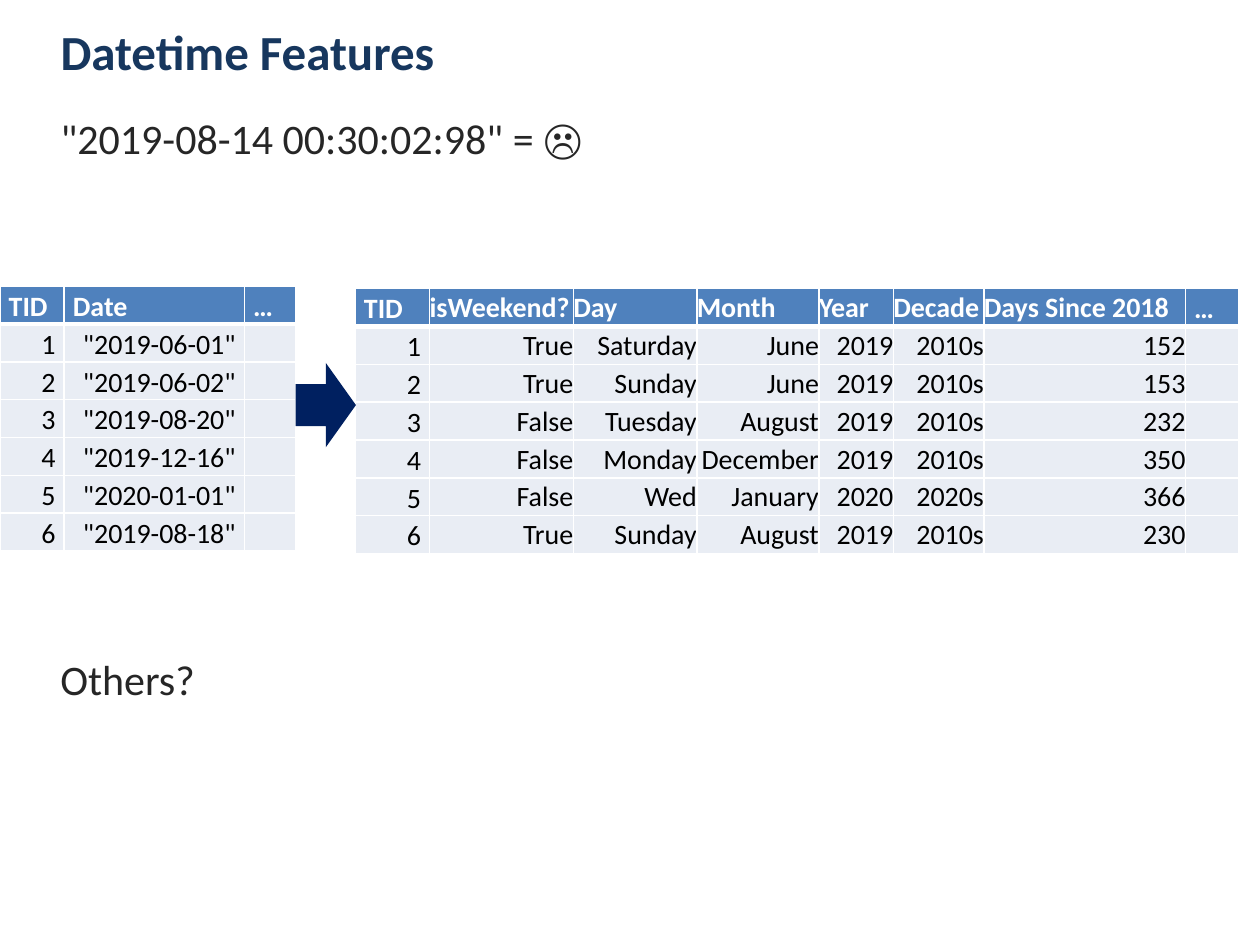
from lxml import etree
from pptx import Presentation
from pptx.dml.color import RGBColor
from pptx.enum.shapes import MSO_SHAPE
from pptx.enum.text import MSO_ANCHOR, MSO_AUTO_SIZE, PP_ALIGN
from pptx.oxml.ns import qn
from pptx.util import Pt

RIGHT_ARROW = MSO_SHAPE.RIGHT_ARROW
MIDDLE, TOP = MSO_ANCHOR.MIDDLE, MSO_ANCHOR.TOP
LEFT, RIGHT = PP_ALIGN.LEFT, PP_ALIGN.RIGHT
NO_AUTOFIT = MSO_AUTO_SIZE.NONE

WHITE = RGBColor(0xFF, 0xFF, 0xFF)
BLACK = RGBColor(0x00, 0x00, 0x00)
NAVY = RGBColor(0x17, 0x37, 0x5E)
CHARCOAL = RGBColor(0x26, 0x26, 0x26)
HEADER_BLUE = RGBColor(0x4F, 0x81, 0xBD)
ROW_GREY = RGBColor(0xE9, 0xED, 0xF4)
ARROW_BLUE = RGBColor(0x00, 0x20, 0x60)

DATES = [
    ("TID", "Date", "…"),
    ("1", '"2019-06-01"', ""),
    ("2", '"2019-06-02"', ""),
    ("3", '"2019-08-20"', ""),
    ("4", '"2019-12-16"', ""),
    ("5", '"2020-01-01"', ""),
    ("6", '"2019-08-18"', ""),
]
FEATURES = [
    ("TID", "isWeekend?", "Day", "Month", "Year", "Decade", "Days Since 2018", "…"),
    ("1", "True", "Saturday", "June", "2019", "2010s", "152", ""),
    ("2", "True", "Sunday", "June", "2019", "2010s", "153", ""),
    ("3", "False", "Tuesday", "August", "2019", "2010s", "232", ""),
    ("4", "False", "Monday", "December", "2019", "2010s", "350", ""),
    ("5", "False", "Wed", "January", "2020", "2020s", "366", ""),
    ("6", "True", "Sunday", "August", "2019", "2010s", "230", ""),
]


class SlideBuilder:
    """Draws styled elements on the current slide."""

    font_name = "Calibri"
    table_size = 16
    row_height = 20.4

    def __init__(self, slide):
        self.slide = slide

    def add_text(self, paragraph, text, size, color, bold=False, align=LEFT):
        paragraph.alignment = align
        run = paragraph.add_run()
        run.text = text
        run.font.name = self.font_name
        run.font.size = Pt(size)
        run.font.bold = bold
        run.font.color.rgb = color

    def place(self, shape, left, top, width, height):
        shape.left, shape.top = Pt(left), Pt(top)
        shape.width, shape.height = Pt(width), Pt(height)
        shape.text_frame.word_wrap = True
        shape.text_frame.auto_size = NO_AUTOFIT

    def title(self, text, *box):
        shape = self.slide.shapes.title
        self.place(shape, *box)
        shape.text_frame.vertical_anchor = MIDDLE
        self.add_text(shape.text_frame.paragraphs[0], text, 28, NAVY, bold=True)

    def body(self, text, *box):
        shape = self.slide.placeholders[1]
        self.place(shape, *box)
        paragraph = shape.text_frame.paragraphs[0]
        properties = paragraph._p.get_or_add_pPr()
        properties.set("marL", "0")
        properties.set("indent", "0")
        etree.SubElement(properties, qn("a:buNone"))
        paragraph.space_before = Pt(0)
        self.add_text(paragraph, text, 24, CHARCOAL)

    def text_box(self, text, *box):
        shape = self.slide.shapes.add_textbox(*map(Pt, box))
        self.place(shape, *box)
        self.add_text(shape.text_frame.paragraphs[0], text, 24, CHARCOAL)

    def arrow(self, *box):
        shape = self.slide.shapes.add_shape(RIGHT_ARROW, *map(Pt, box))
        shape.shadow.inherit = False
        shape.fill.solid()
        shape.fill.fore_color.rgb = ARROW_BLUE
        shape.line.fill.background()

    def table(self, rows, left, top, widths, padded, centred):
        frame = self.slide.shapes.add_table(
            len(rows), len(widths), Pt(left), Pt(top),
            Pt(sum(widths)), Pt(self.row_height * len(rows)))
        table = frame.table
        table.horz_banding = False
        for column, width in zip(table.columns, widths):
            column.width = Pt(width)
        for row_index, row in enumerate(rows):
            table.rows[row_index].height = Pt(self.row_height)
            for column_index, text in enumerate(row):
                cell = table.cell(row_index, column_index)
                side, upper = (5, 0.7) if column_index in padded else (0, 0)
                cell.margin_left = cell.margin_right = Pt(side)
                cell.margin_top, cell.margin_bottom = Pt(upper), Pt(0)
                header = row_index == 0
                middle = column_index in centred or header and column_index in padded
                cell.vertical_anchor = MIDDLE if middle else TOP
                self.fill_cell(cell, text, row_index)

    def fill_cell(self, cell, text, row_index):
        header = row_index == 0
        self.borders(cell, 3 if row_index == 1 else 1, 3 if header else 1)
        cell.fill.solid()
        cell.fill.fore_color.rgb = HEADER_BLUE if header else ROW_GREY
        paragraph = cell.text_frame.paragraphs[0]
        if not text:
            ending = etree.SubElement(paragraph._p, qn("a:endParaRPr"))
            ending.set("sz", str(self.table_size * 100))
            return
        paragraph.line_spacing = 1.07
        paragraph.space_after = Pt(8)
        self.add_text(paragraph, text, self.table_size, WHITE if header else BLACK,
                      bold=header, align=LEFT if header else RIGHT)

    def borders(self, cell, top, bottom):
        properties = cell._tc.get_or_add_tcPr()
        for side, weight in (("L", 1), ("R", 1), ("T", top), ("B", bottom)):
            line = etree.SubElement(properties, qn(f"a:ln{side}"), w=str(Pt(weight)))
            fill = etree.SubElement(line, qn("a:solidFill"))
            etree.SubElement(fill, qn("a:srgbClr"), val=str(WHITE))


def main():
    presentation = Presentation()
    presentation.slide_width, presentation.slide_height = Pt(720), Pt(540)
    slide = presentation.slides.add_slide(presentation.slide_layouts[1])
    builder = SlideBuilder(slide)
    builder.title("Datetime Features", 27.4, 3.6, 590.4, 51.1)
    builder.body('"2019-08-14 00:30:02:98" = ☹', 27.4, 60.5, 665.3, 51.8)
    builder.table(DATES, 0, 163.5, [36.7, 103, 29.5], padded={0, 1, 2}, centred={0})
    builder.table(FEATURES, 203, 164.9, [42.5, 82.1, 70.6, 69.8, 42.5, 51.8, 115.2, 30.2],
                  padded={0, 7}, centred={0})
    builder.arrow(169, 207.4, 34.4, 48.2)
    builder.text_box("Others?", 27.4, 370.1, 665.3, 51.8)
    presentation.save("out.pptx")


if __name__ == "__main__":
    main()
